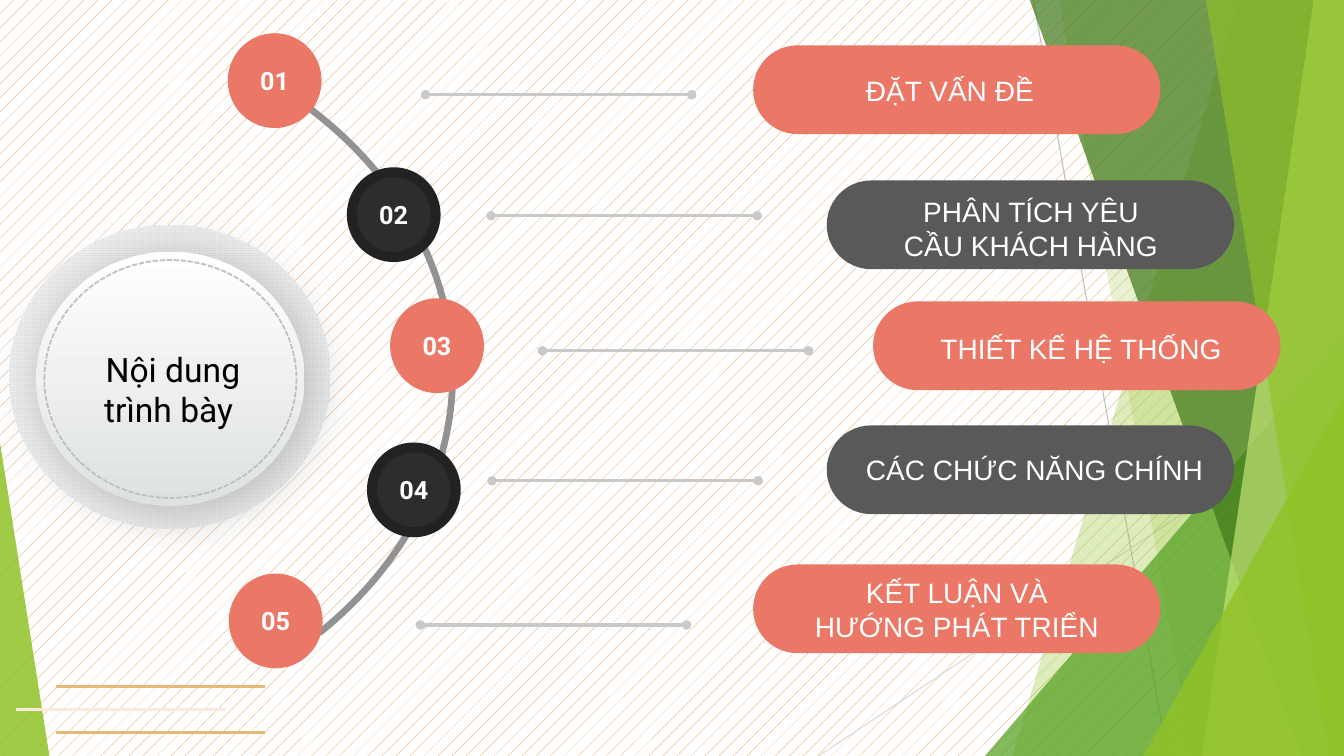
from dataclasses import dataclass
from lxml.etree import SubElement
from pptx import Presentation
from pptx.dml.color import RGBColor
from pptx.enum.dml import MSO_LINE, MSO_PATTERN
from pptx.enum.shapes import MSO_CONNECTOR, MSO_SHAPE
from pptx.enum.text import MSO_ANCHOR, MSO_AUTO_SIZE, PP_ALIGN
from pptx.oxml.ns import qn
from pptx.util import Pt

PX = 9144
WIDE, HIGH = 1333, 750


@dataclass(frozen=True)
class Theme:
    white: str = "FFFFFF"
    black: str = "000000"
    coral: str = "EB7766"
    rim: str = "222222"
    core: str = "2D2D2D"
    slate: str = "595959"
    rule: str = "C9C9C9"
    arc: str = "929292"
    dash: str = "BFBFBF"
    pale: str = "D9D9D9"
    mist: str = "DDE1E2"
    fog: str = "F2F2F2"
    hatch: str = "DD9048"
    gold: str = "E6B87A"
    cream: str = "F8EBDA"
    lime: str = "90C226"
    leaf: str = "54A021"
    moss: str = "3F7819"
    light: str = "C0E474"
    head: str = "Roboto"
    body: str = "Arial"
    large: int = 24
    mid: int = 20
    small: int = 18


def tint(color, code):
    color.rgb = RGBColor.from_string(code)


def weave(fill, kind, fore, back):
    fill.patterned()
    fill.pattern = kind
    tint(fill.fore_color, fore)
    tint(fill.back_color, back)


def write(frame, text, font, size, color, bold=False, align=PP_ALIGN.CENTER):
    para = frame.paragraphs[0]
    para.alignment = align
    run = para.add_run()
    run.text = text
    run.font.name = font
    run.font.size = Pt(size)
    run.font.bold = bold
    tint(run.font.color, color)


class Deck:
    def __init__(self, theme):
        self.theme = theme
        self.show = Presentation()
        self.show.slide_width, self.show.slide_height = WIDE * PX, HIGH * PX
        self.slide = self.show.slides.add_slide(self.show.slide_layouts[6])
        self.shapes = self.slide.shapes
        weave(self.slide.background.fill, MSO_PATTERN.PERCENT_5,
              theme.hatch, theme.white)

    def paint(self, shape, fill=None, alpha=100, line=None, width=1):
        shape.shadow.inherit = False
        if fill:
            shape.fill.solid()
            tint(shape.fill.fore_color, fill)
            if alpha < 100:
                tone = shape._element.spPr.find(qn("a:solidFill"))[0]
                SubElement(tone, qn("a:alpha"), val=str(alpha * 1000))
        else:
            shape.fill.background()
        if line:
            tint(shape.line.color, line)
            shape.line.width = Pt(width)
        else:
            shape.line.fill.background()
        return shape

    def form(self, kind, x, y, w, h, adjust=(), **style):
        shape = self.shapes.add_shape(kind, x * PX, y * PX, w * PX, h * PX)
        for i, value in enumerate(adjust):
            shape.adjustments[i] = value
        return self.paint(shape, **style)

    def band(self, top, foot, fill, alpha):
        draft = self.shapes.build_freeform(top, -1, scale=PX)
        draft.add_line_segments([(WIDE, -1), (WIDE, HIGH), (foot, HIGH)])
        self.paint(draft.convert_to_shape(), fill, alpha)

    def line(self, x1, y1, x2, y2, color, width=2.25, dots=False):
        link = self.shapes.add_connector(
            MSO_CONNECTOR.STRAIGHT, x1 * PX, y1 * PX, x2 * PX, y2 * PX)
        tint(link.line.color, color)
        link.line.width = Pt(width)
        props = link._element.spPr
        if dots:
            for end in ("a:headEnd", "a:tailEnd"):
                SubElement(props.find(qn("a:ln")), qn(end), type="oval")
        SubElement(props, qn("a:effectLst"))

    def label(self, x, y, w, h, text, **style):
        box = self.shapes.add_textbox(x * PX, y * PX, w * PX, h * PX)
        box.text_frame.word_wrap = True
        box.text_frame.auto_size = MSO_AUTO_SIZE.SHAPE_TO_FIT_TEXT
        write(box.text_frame, text, **style)

    def badge(self, x, y, text, rim, core):
        t = self.theme
        self.form(MSO_SHAPE.OVAL, x, y, 93, 94, fill=rim)
        disc = self.form(MSO_SHAPE.OVAL, x + 10, y + 10, 73, 74, fill=core)
        frame = disc.text_frame
        frame.margin_left = frame.margin_right = 0
        frame.vertical_anchor = MSO_ANCHOR.MIDDLE
        write(frame, text, font=t.head, size=t.small, color=t.white, bold=True)

    def pill(self, x, y, fill):
        self.form(MSO_SHAPE.ROUNDED_RECTANGLE, x, y, 404, 88, [0.5], fill=fill)

    def hub(self):
        t = self.theme
        halo = self.form(MSO_SHAPE.OVAL, 9, 223, 319, 302)
        weave(halo.fill, MSO_PATTERN.SMALL_GRID, t.fog, t.mist)
        dome = self.form(MSO_SHAPE.OVAL, 36, 250, 266, 252)
        dome.fill.gradient()
        dome.fill.gradient_angle = 90
        for stop, code in zip(dome.fill.gradient_stops, (t.mist, t.white)):
            tint(stop.color, code)
        glow = SubElement(
            dome._element.spPr.find(qn("a:effectLst")), qn("a:outerShdw"),
            blurRad=str(Pt(40)), dist=str(Pt(6)), dir="2700000",
            algn="ctr", rotWithShape="0")
        tone = SubElement(glow, qn("a:srgbClr"), val=t.slate)
        SubElement(tone, qn("a:alpha"), val="40000")
        ring = self.form(MSO_SHAPE.OVAL, 44, 258, 250, 236,
                         line=t.dash, width=1.25)
        ring.line.dash_style = MSO_LINE.SQUARE_DOT
        self.label(65, 341, 213, 91, "Nội dung trình bày ",
                   font=t.head, size=t.large, color=t.black)

    def scene(self):
        t = self.theme
        wedge = MSO_SHAPE.ISOSCELES_TRIANGLE
        self.line(1025, 0, 1158, HIGH, t.dash, 0.75)
        self.line(WIDE, 403, 812, HIGH, t.pale, 0.75)
        self.band(1228, 1004, t.lime, 30)
        self.band(1050, 1183, t.lime, 20)
        self.form(wedge, 977, 333, 356, 417, [1], fill=t.leaf, alpha=72)
        self.band(1021, 1291, t.moss, 70)
        self.band(1303, 1192, t.light, 70)
        self.band(1196, 1318, t.lime, 65)
        self.form(wedge, 1134, 393, 199, 357, [1], fill=t.lime, alpha=80)
        self.form(wedge, 0, 439, 49, 311, [0], fill=t.lime, alpha=85)
        for x, y, color in ((16, 704, t.cream), (56, 727, t.gold),
                            (56, 681, t.gold)):
            self.line(x, y, x + 207, y, color)


def main():
    t = Theme()
    deck = Deck(t)
    deck.scene()
    deck.form(MSO_SHAPE.BLOCK_ARC, -447, 10, 896, 723,
              [189.69, 23.39, 0], line=t.arc, width=4.75)
    mid, left = PP_ALIGN.CENTER, PP_ALIGN.LEFT
    items = (
        ((226, 33), (422, 94), (747, 45), (849, 68, 285, 44),
         "ĐẶT VẤN ĐỀ", left),
        ((344, 166), (487, 214), (820, 179), (880, 188, 285, 77),
         "PHÂN TÍCH YÊU CẦU KHÁCH HÀNG", mid),
        ((387, 296), (538, 348), (866, 299), (923, 324, 320, 44),
         "THIẾT KẾ HỆ THỐNG", left),
        ((364, 439), (488, 477), (820, 422), (849, 444, 390, 44),
         "CÁC CHỨC NĂNG CHÍNH", left),
        ((227, 569), (417, 620), (747, 560), (791, 566, 316, 77),
         "KẾT LUẬN VÀ HƯỚNG PHÁT TRIỂN", mid),
    )
    for i, (spot, (x, y), pill, box, text, align) in enumerate(items, 1):
        rim, core, fill = ((t.coral, t.coral, t.coral) if i % 2
                           else (t.rim, t.core, t.slate))
        deck.line(x, y, x + 264, y, t.rule, dots=True)
        deck.badge(*spot, f"{i:02}", rim, core)
        deck.pill(*pill, fill)
        deck.label(*box, text, font=t.body, size=t.mid,
                   color=t.white, align=align)
    deck.hub()
    deck.show.save("out.pptx")


if __name__ == "__main__":
    main()
